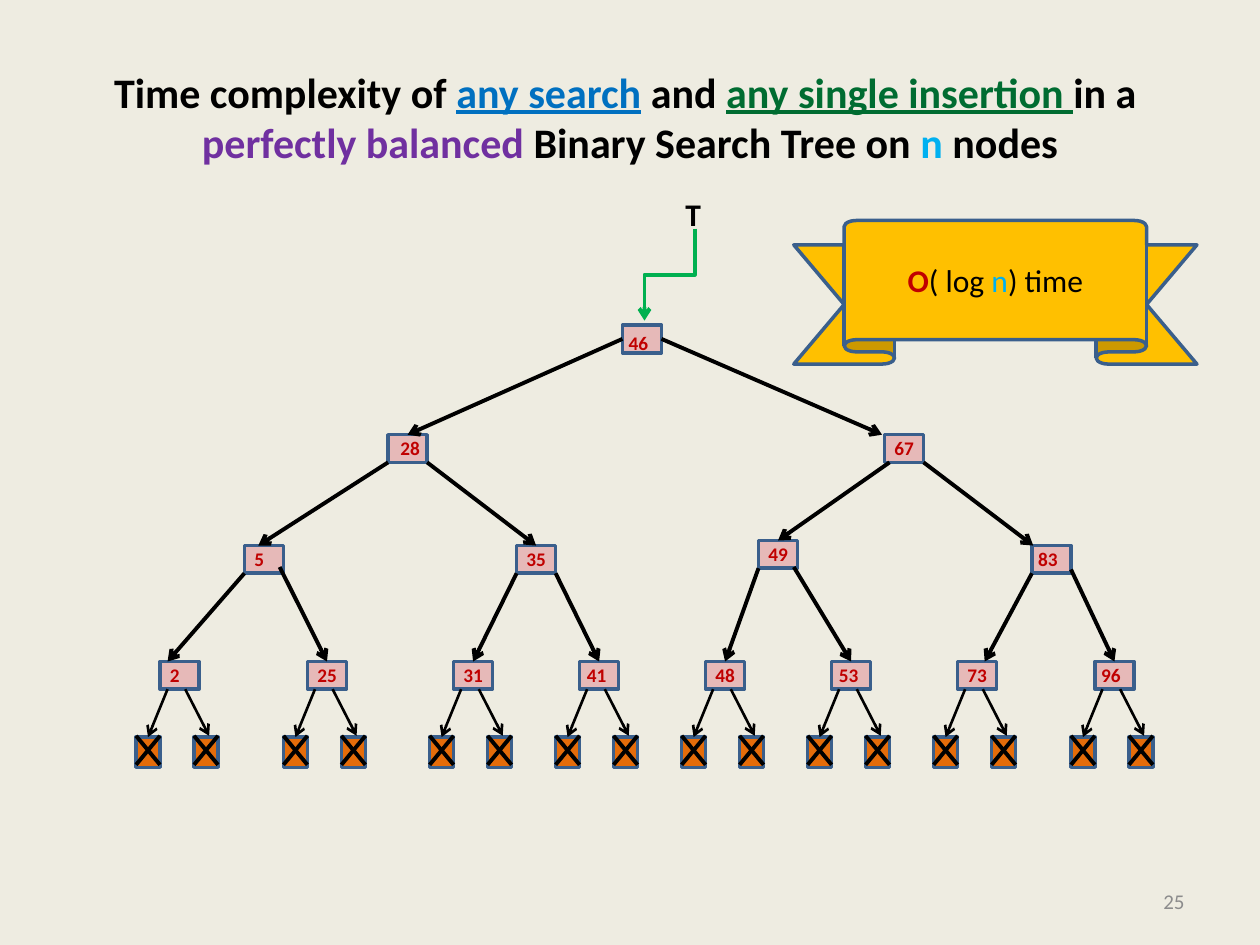
from dataclasses import dataclass

import lxml.etree
import pptx
import pptx.dml.color
import pptx.enum.shapes
import pptx.enum.text
import pptx.oxml.ns
import pptx.util

# The slide is a grid of 100 columns by 75 rows; all lengths count cells.
CELL = 0.1
NODE_WIDTH, NODE_HEIGHT = 3.1, 2.2
NULL_WIDTH, NULL_HEIGHT, NULL_ROW = 1.9, 2.4, 58.5
LEAF_ROW = 52.5
TOP, LEFT, RIGHT = 0, 1, 3
BLACK, RED, OUTLINE = "000000", "C00000", "3A5F8C"
SHAPES = pptx.enum.shapes.MSO_SHAPE
CONNECTORS = pptx.enum.shapes.MSO_CONNECTOR
ALIGN = pptx.enum.text.PP_ALIGN
MIDDLE = pptx.enum.text.MSO_ANCHOR.MIDDLE


@dataclass
class Run:
    text: str
    color: str = BLACK
    bold: bool = True
    underline: bool = False


@dataclass
class Node:
    key: int
    col: float
    row: float
    label_shift: float = -0.2
    parent: int = 0
    side: int = LEFT
    start_shift: tuple = (0, 0)  # from the parent's lower corner
    tip_shift: float = 0  # from the middle of the node's top


NODES = [
    Node(46, 49.4, 25.8, -0.5),
    Node(28, 30.8, 34.5, 0, 46, LEFT),
    Node(67, 70.2, 34.5, -0.2, 46, RIGHT, tip_shift=-1.75),
    Node(5, 19.4, 43.3, -0.2, 28, LEFT, tip_shift=-0.45),
    Node(35, 41, 43.3, -0.2, 28, RIGHT),
    Node(49, 60.2, 42.9, -0.2, 67, LEFT, (0.4, 0)),
    Node(83, 81.9, 43.3, -0.5, 67, RIGHT, tip_shift=-1.45),
    Node(2, 12.7, LEAF_ROW, -0.2, 5, LEFT, tip_shift=-0.95),
    Node(25, 24.4, LEAF_ROW, -0.2, 5, RIGHT, (-0.3, -0.5)),
    Node(31, 36, LEAF_ROW, -0.2, 35, LEFT),
    Node(41, 46, LEAF_ROW, -0.4, 35, RIGHT),
    Node(48, 56, LEAF_ROW, -0.2, 49, LEFT),
    Node(53, 66, LEAF_ROW, -0.4, 49, RIGHT, (-0.3, -0.1)),
    Node(73, 76, LEAF_ROW, -0.2, 83, LEFT, tip_shift=0.6),
    Node(96, 86.9, LEAF_ROW, -0.5, 83, RIGHT, (0, -0.3)),
]


def cells(count: float) -> int:
    return pptx.util.Inches(count * CELL)


def rgb(value: str):
    return pptx.dml.color.RGBColor.from_string(value)


def write(frame, runs: list, size: float, align=ALIGN.LEFT) -> None:
    paragraph = frame.paragraphs[0]
    paragraph.alignment = align
    for part in runs:
        if part is None:
            paragraph.add_line_break()
            continue
        run = paragraph.add_run()
        run.text = part.text
        run.font.name = "Calibri"
        run.font.size = pptx.util.Pt(size)
        run.font.bold = part.bold
        run.font.underline = part.underline
        run.font.color.rgb = rgb(part.color)


def add_text(shapes, box: tuple, runs: list, size: float, align=ALIGN.LEFT, block=False):
    frame = shapes.add_textbox(*map(cells, box)).text_frame
    frame.word_wrap = block
    if block:
        frame.vertical_anchor = MIDDLE
    write(frame, runs, size, align)


def add_filled(shapes, kind, box: tuple, fill: str):
    shape = shapes.add_shape(kind, *map(cells, box))
    shape.shadow.inherit = False
    shape.fill.solid()
    shape.fill.fore_color.rgb = rgb(fill)
    shape.line.color.rgb = rgb(OUTLINE)
    shape.line.width = pptx.util.Pt(2)
    return shape


def add_line(shapes, start: tuple, end: tuple, width=2.25, color=BLACK,
             arrow=True, kind=CONNECTORS.STRAIGHT):
    line = shapes.add_connector(kind, *map(cells, start + end))
    line.line.color.rgb = rgb(color)
    line.line.width = pptx.util.Pt(width)
    properties = line._element.spPr
    qn = pptx.oxml.ns.qn
    if arrow:
        lxml.etree.SubElement(properties.find(qn("a:ln")), qn("a:tailEnd"), type="arrow")
    lxml.etree.SubElement(properties, qn("a:effectLst"))
    return line


def add_null(shapes, col: float):
    """A crossed box that stands for an empty subtree."""
    box = add_filled(shapes, SHAPES.RECTANGLE, (col, NULL_ROW, NULL_WIDTH, NULL_HEIGHT), "E46C0A")
    top, bottom = NULL_ROW - 0.1, NULL_ROW + NULL_HEIGHT - 0.2
    for first, last in ((col + NULL_WIDTH, col), (col, col + NULL_WIDTH)):
        add_line(shapes, (first, top), (last, bottom), arrow=False)
    return box


def add_node(shapes, node: Node):
    is_leaf = node.row == LEAF_ROW
    if is_leaf:
        shapes = shapes.add_group_shape().shapes
    box = add_filled(shapes, SHAPES.RECTANGLE,
                     (node.col, node.row, NODE_WIDTH, NODE_HEIGHT), "E6B9B8")
    if is_leaf:
        base = node.row + NODE_HEIGHT
        left_null = add_null(shapes, node.col - 1.9)
        pointer = add_line(shapes, (node.col + 0.6, base), (node.col - 0.95, NULL_ROW), 1.5)
        pointer.end_connect(left_null, TOP)
        add_null(shapes, node.col + 2.7)
        add_line(shapes, (node.col + 2, base), (node.col + 3.9, NULL_ROW - 0.1), 1.5)
    return box


def add_edge(shapes, parent: Node, child: Node, boxes: dict) -> None:
    corner = parent.col + (NODE_WIDTH if child.side == RIGHT else 0)
    start = (corner + child.start_shift[0], parent.row + NODE_HEIGHT + child.start_shift[1])
    tip = (child.col + NODE_WIDTH / 2 + child.tip_shift, child.row)
    edge = add_line(shapes, start, tip)
    if not parent.parent:  # the root's edges leave from the middle of its sides
        edge.begin_connect(boxes[parent.key], child.side)
    if not child.tip_shift:
        edge.end_connect(boxes[child.key], TOP)


def add_label(shapes, node: Node) -> None:
    drop = -0.35 if node.parent else 0
    width = 2.8 if node.key < 10 else 3.6
    add_text(shapes, (node.col + node.label_shift, node.row + drop, width, 2.9),
             [Run(str(node.key), RED)], 11)


def main() -> None:
    deck = pptx.Presentation()
    deck.slide_width, deck.slide_height = cells(100), cells(75)
    slide = deck.slides.add_slide(deck.slide_layouts[6])
    slide.background.fill.solid()
    slide.background.fill.fore_color.rgb = rgb("EEECE1")
    shapes = slide.shapes

    # Title and slide number
    title = [
        Run("Time complexity of "), Run("any search", "0070C0", underline=True),
        Run(" and "), Run("any single insertion ", "006C31", underline=True),
        Run("in a "), None, Run("perfectly balanced ", "7030A0"),
        Run("Binary Search Tree on "), Run("n", "00B0F0"), Run(" nodes"),
    ]
    add_text(shapes, (5, 3, 90, 12.5), title, 24, ALIGN.CENTER, block=True)
    add_text(shapes, (71.7, 69.5, 23.3, 4), [Run("25", "8C8C8C", bold=False)], 12,
             ALIGN.RIGHT, block=True)

    # Tree: boxes, then edges, then keys
    by_key = {node.key: node for node in NODES}
    boxes = {node.key: add_node(shapes, node) for node in NODES}
    for node in NODES:
        if node.parent:
            add_edge(shapes, by_key[node.parent], node, boxes)
    for node in NODES:
        add_label(shapes, node)

    # Pointer from T to the root, turned a quarter to leave downwards
    root_pointer = add_line(shapes, (49.5, 19.8), (56.8, 23.8), color="00B050",
                            kind=CONNECTORS.ELBOW)
    root_pointer._element.spPr.xfrm.set("rot", "5400000")
    add_text(shapes, (53.4, 15, 3.2, 4), [Run("T")], 18)

    # Ribbon with the resulting bound
    ribbon = add_filled(shapes, SHAPES.UP_RIBBON, (63, 17.5, 32, 11.4), "FFC000")
    ribbon.adjustments[0], ribbon.adjustments[1] = 0.17, 0.75
    ribbon.text_frame.vertical_anchor = MIDDLE
    bound = [Run("O", RED), Run("( log ", bold=False), Run("n", "00B0F0", bold=False),
             Run(") time", bold=False)]
    write(ribbon.text_frame, bound, 18, ALIGN.CENTER)

    deck.save("out.pptx")


if __name__ == "__main__":
    main()
